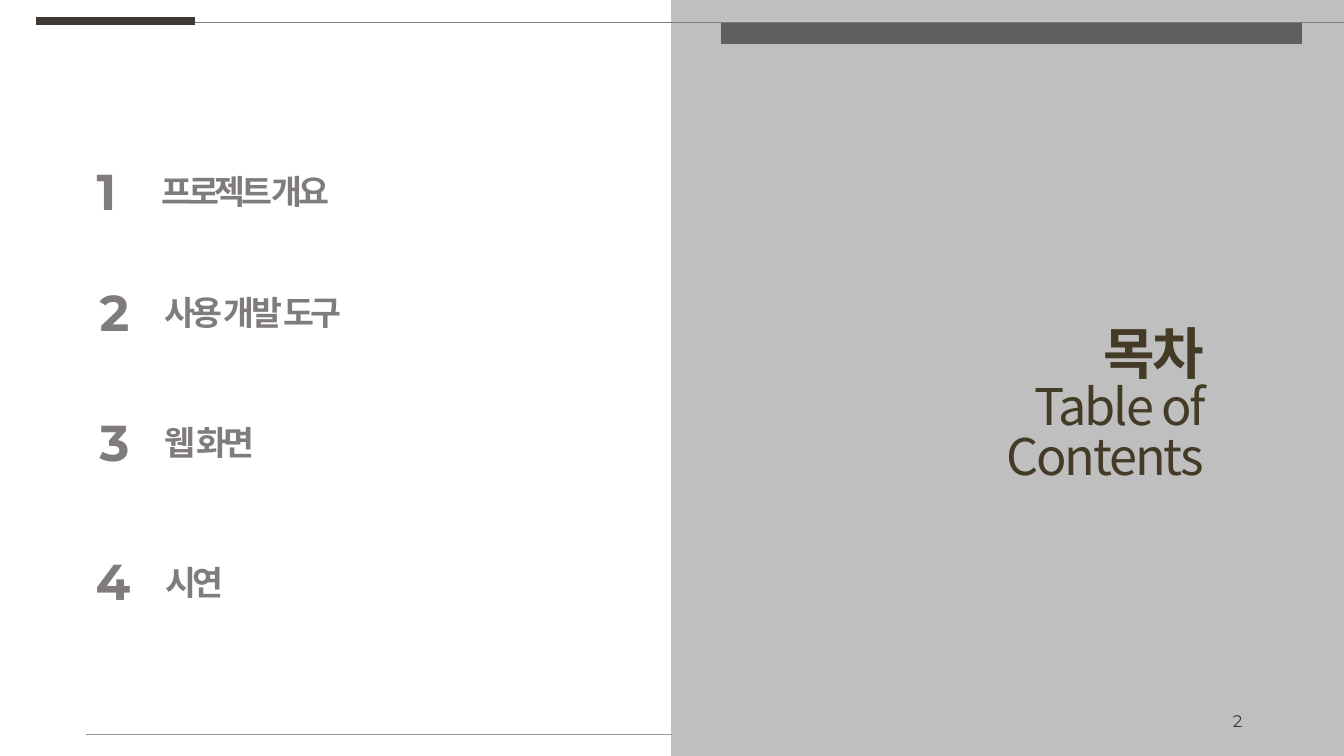
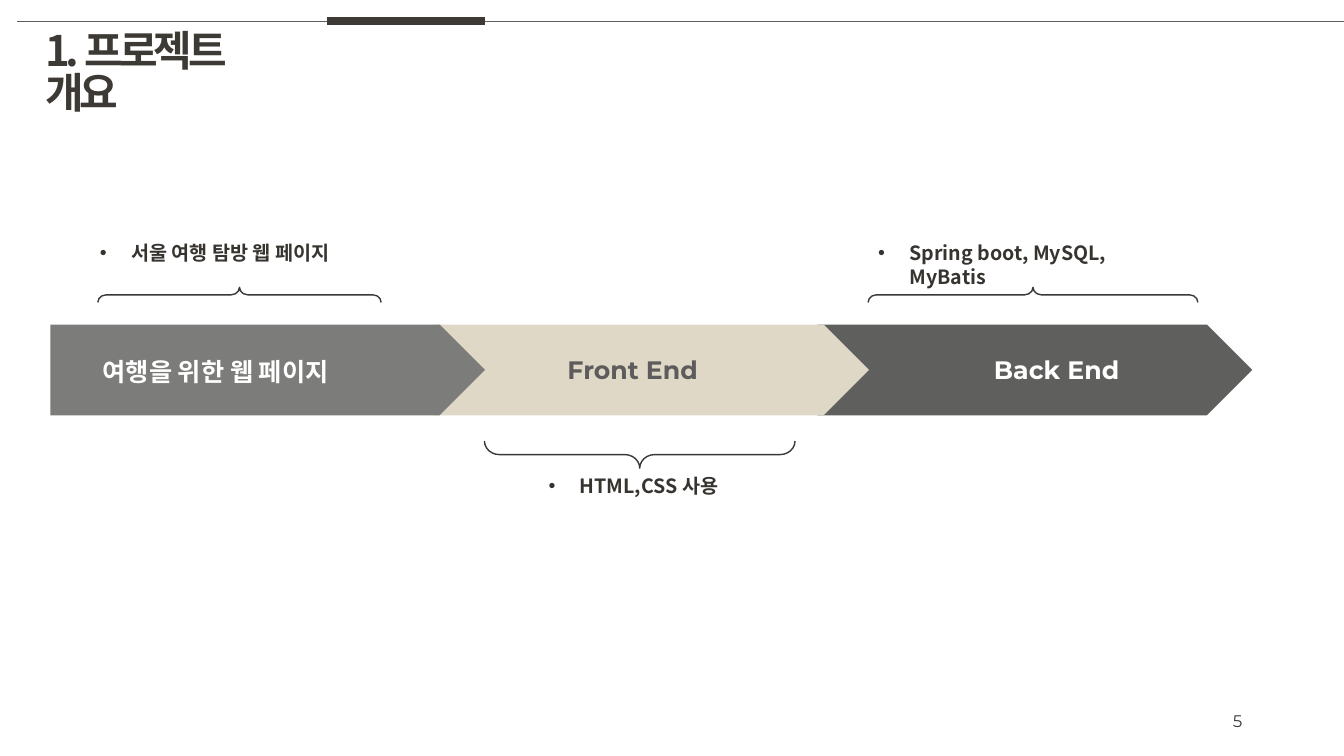
from dataclasses import dataclass
from typing import Optional

from lxml.etree import SubElement
from pptx import Presentation
from pptx.dml.color import RGBColor
from pptx.enum.shapes import MSO_CONNECTOR, MSO_SHAPE
from pptx.enum.text import MSO_ANCHOR, MSO_AUTO_SIZE, PP_ALIGN
from pptx.oxml.ns import qn
from pptx.util import Inches, Pt

SLIDE_WIDTH, SLIDE_HEIGHT = 13.33, 7.5
COMPARISON_LAYOUT = 4
KOREAN, LATIN = "Noto Sans CJK KR", "Montserrat"

# Shared colours
INK, DARK, MEDIUM = "3D3A35", "5F5F5D", "7C7C7A"
SAND, SILVER, WHITE = "DFD8C7", "BFBFBF", "FFFFFF"
TITLE_BROWN, CONTENTS_GREY, RULE_GREY = "433B26", "817C7C", "9E9A9A"
NOTE_INK, FINE_INK, LABEL_GREY = "373430", "3A3838", "5D5B5B"


@dataclass(frozen=True)
class TextStyle:
    size: float
    color: str
    font: str = KOREAN
    bold: bool = True
    tracking: float = 0
    align: PP_ALIGN = PP_ALIGN.LEFT
    line_spacing: float = 1.0
    bullet: bool = False


@dataclass(frozen=True)
class Box:
    left: float
    top: float
    width: float
    height: float


@dataclass(frozen=True)
class Entry:
    number: str
    label: str
    number_left: float
    label_left: float
    top: float
    style: TextStyle


@dataclass(frozen=True)
class Stage:
    label: str
    label_box: Box
    label_color: str
    left: float
    outline: MSO_SHAPE
    fill: str


@dataclass(frozen=True)
class Note:
    text: str
    box: Box
    brace: Box
    rotation: int


PAGE_NUMBER = TextStyle(12, FINE_INK, LATIN, False, align=PP_ALIGN.RIGHT)
CONTENTS_TITLE = TextStyle(40, TITLE_BROWN, tracking=-1.5, align=PP_ALIGN.RIGHT,
                           line_spacing=0.83)
CONTENTS_SUBTITLE = TextStyle(36, TITLE_BROWN, bold=False, tracking=-1.5,
                              align=PP_ALIGN.RIGHT, line_spacing=0.83)
SECTION_TITLE = TextStyle(30, INK, tracking=-3, line_spacing=0.83)
ENTRY_NUMBER = TextStyle(36, CONTENTS_GREY, LATIN)
ENTRY_TIGHT = TextStyle(24, CONTENTS_GREY, LATIN, tracking=-3)
ENTRY_LOOSE = TextStyle(24, CONTENTS_GREY, tracking=-2.4)
NOTE = TextStyle(14, NOTE_INK, bullet=True)

ENTRIES = [
    Entry("1", "프로젝트 개요", 0.86, 1.5, 1.54, ENTRY_TIGHT),
    Entry("2", "사용 개발 도구", 0.89, 1.53, 2.74, ENTRY_LOOSE),
    Entry("3", "웹 화면", 0.89, 1.53, 4.03, ENTRY_LOOSE),
    Entry("4", "시연", 0.85, 1.54, 5.41, ENTRY_TIGHT),
]

# Back to front, so that each stage points over the next one
STAGES = [
    Stage("Back End", Box(9.76, 3.47, 1.6, 0.4), WHITE, 8.11, MSO_SHAPE.CHEVRON, DARK),
    Stage("Front End", Box(5.53, 3.47, 1.6, 0.4), LABEL_GREY, 4.31, MSO_SHAPE.CHEVRON, SAND),
    Stage("여행을 위한 웹 페이지", Box(0.92, 3.49, 2.8, 0.4), WHITE, 0.5,
          MSO_SHAPE.PENTAGON, MEDIUM),
]

NOTES = [
    Note("서울 여행 탐방 웹 페이지", Box(0.89, 2.34, 2.98, 0.34),
         Box(2.3, 1.52, 0.15, 2.81), 90),
    Note("HTML,CSS 사용", Box(5.34, 4.65, 2.08, 0.34),
         Box(6.21, 2.97, 0.27, 3.08), 270),
    Note("Spring boot, MySQL, MyBatis", Box(8.61, 2.34, 3.27, 0.34),
         Box(10.17, 1.29, 0.15, 3.27), 90),
]


def rgb(color: str) -> RGBColor:
    return RGBColor.from_string(color)


def format_paragraph(paragraph, style: TextStyle) -> None:
    properties = paragraph._p.get_or_add_pPr()
    indent = Inches(0.31) if style.bullet else 0
    properties.set("marL", str(indent))
    properties.set("indent", str(-indent))
    paragraph.alignment = style.align
    paragraph.line_spacing = style.line_spacing
    paragraph.space_before = Pt(0)
    if style.bullet:
        SubElement(properties, qn("a:buFont")).set("typeface", "Arial")
        SubElement(properties, qn("a:buChar")).set("char", "•")
    else:
        SubElement(properties, qn("a:buNone"))
    font = paragraph.font
    font.size, font.bold, font.name = Pt(style.size), style.bold, style.font
    font.color.rgb = rgb(style.color)
    # East Asian font and letter spacing are read from the runs
    for run in paragraph.runs:
        run_properties = run._r.get_or_add_rPr()
        if style.tracking:
            run_properties.set("spc", str(round(style.tracking * 100)))
        SubElement(run_properties, qn("a:ea")).set("typeface", KOREAN)


def fill_text(shape, box: Box, lines: list[tuple[str, TextStyle]],
              anchor: MSO_ANCHOR = MSO_ANCHOR.TOP) -> None:
    shape.left, shape.top = Inches(box.left), Inches(box.top)
    shape.width, shape.height = Inches(box.width), Inches(box.height)
    frame = shape.text_frame
    frame.word_wrap = True
    frame.auto_size = MSO_AUTO_SIZE.NONE
    frame.vertical_anchor = anchor
    frame.text = "\n".join(text for text, _ in lines)
    for paragraph, (_, style) in zip(frame.paragraphs, lines):
        format_paragraph(paragraph, style)


def add_text(slide, box: Box, text: str, style: TextStyle,
             anchor: MSO_ANCHOR = MSO_ANCHOR.TOP) -> None:
    fill_text(slide.shapes.add_textbox(0, 0, 0, 0), box, [(text, style)], anchor)


def add_rule(slide, left: float, right: float, top: float, color: str, weight: float) -> None:
    connector = slide.shapes.add_connector(
        MSO_CONNECTOR.STRAIGHT, Inches(left), Inches(top), Inches(right), Inches(top))
    connector.line.color.rgb = rgb(color)
    connector.line.width = Pt(weight)
    SubElement(connector._element.spPr, qn("a:effectLst"))


def add_shape(slide, outline: MSO_SHAPE, box: Box, fill: Optional[str] = None,
              line: Optional[str] = None):
    shape = slide.shapes.add_shape(outline, Inches(box.left), Inches(box.top),
                                   Inches(box.width), Inches(box.height))
    shape.shadow.inherit = False
    if fill:
        shape.fill.solid()
        shape.fill.fore_color.rgb = rgb(fill)
    else:
        shape.fill.background()
    if line:
        shape.line.color.rgb = rgb(line)
        shape.line.width = Pt(1)
    else:
        shape.line.fill.background()
    return shape


def add_slide(presentation, page: str, rule_left: float, rule_top: float,
              rule_color: str, tab_left: float):
    """Add a slide with the top rule, its thick tab and the page number."""
    slide = presentation.slides.add_slide(presentation.slide_layouts[COMPARISON_LAYOUT])
    add_rule(slide, rule_left, SLIDE_WIDTH, rule_top, rule_color, 0.5)
    add_rule(slide, tab_left, tab_left + 1.57, 0.21, INK, 6)
    add_text(slide, Box(9.42, 6.95, 3, 0.4), page, PAGE_NUMBER, MSO_ANCHOR.MIDDLE)
    return slide


def body_placeholders(slide) -> list:
    return [shape for shape in slide.placeholders if shape.placeholder_format.idx != 0]


def build_contents(presentation) -> None:
    slide = add_slide(presentation, "2", 0.36, 0.22, MEDIUM, 0.36)

    # Grey half, sent behind everything else
    half = SLIDE_WIDTH / 2
    panel = add_shape(slide, MSO_SHAPE.RECTANGLE, Box(half, 0, half, SLIDE_HEIGHT),
                      SILVER, SILVER)
    slide.shapes._spTree.insert(2, panel._element)
    add_rule(slide, 7.15, 12.91, 0.33, DARK, 15)
    add_rule(slide, 0.85, half, 7.29, RULE_GREY, 0.5)

    # Title and numbered entries
    fill_text(slide.shapes.title, Box(9.44, 3.22, 2.6, 2),
              [("목차", CONTENTS_TITLE), ("Table of Contents", CONTENTS_SUBTITLE)])
    for entry, placeholder in zip(ENTRIES, body_placeholders(slide)):
        add_text(slide, Box(entry.number_left, entry.top, 0.55, 0.71),
                 entry.number, ENTRY_NUMBER)
        fill_text(placeholder, Box(entry.label_left, entry.top + 0.11, 3, 0.5),
                  [(entry.label, entry.style)])


def build_overview(presentation) -> None:
    slide = add_slide(presentation, "5", 0.17, 0.21, DARK, 3.24)
    fill_text(slide.shapes.title, Box(0.35, 0.28, 2.4, 1.1),
              [("1. 프로젝트 개요", SECTION_TITLE)])

    # Process arrow
    for stage in STAGES:
        add_shape(slide, stage.outline, Box(stage.left, 3.22, 4.31, 0.9), stage.fill)
    for stage in STAGES:
        add_text(slide, stage.label_box, stage.label,
                 TextStyle(18, stage.label_color, LATIN))

    # Braces with their notes
    bodies = body_placeholders(slide)
    for note, placeholder in zip(NOTES, bodies):
        brace = add_shape(slide, MSO_SHAPE.LEFT_BRACE, note.brace, line=FINE_INK)
        brace.adjustments[0] = 0.545
        brace.rotation = note.rotation
        fill_text(placeholder, note.box, [(note.text, NOTE)])
    for unused in bodies[len(NOTES):]:
        unused._element.getparent().remove(unused._element)


def main() -> None:
    presentation = Presentation()
    presentation.slide_width = Inches(SLIDE_WIDTH)
    presentation.slide_height = Inches(SLIDE_HEIGHT)
    build_contents(presentation)
    build_overview(presentation)
    presentation.save("out.pptx")


if __name__ == "__main__":
    main()
